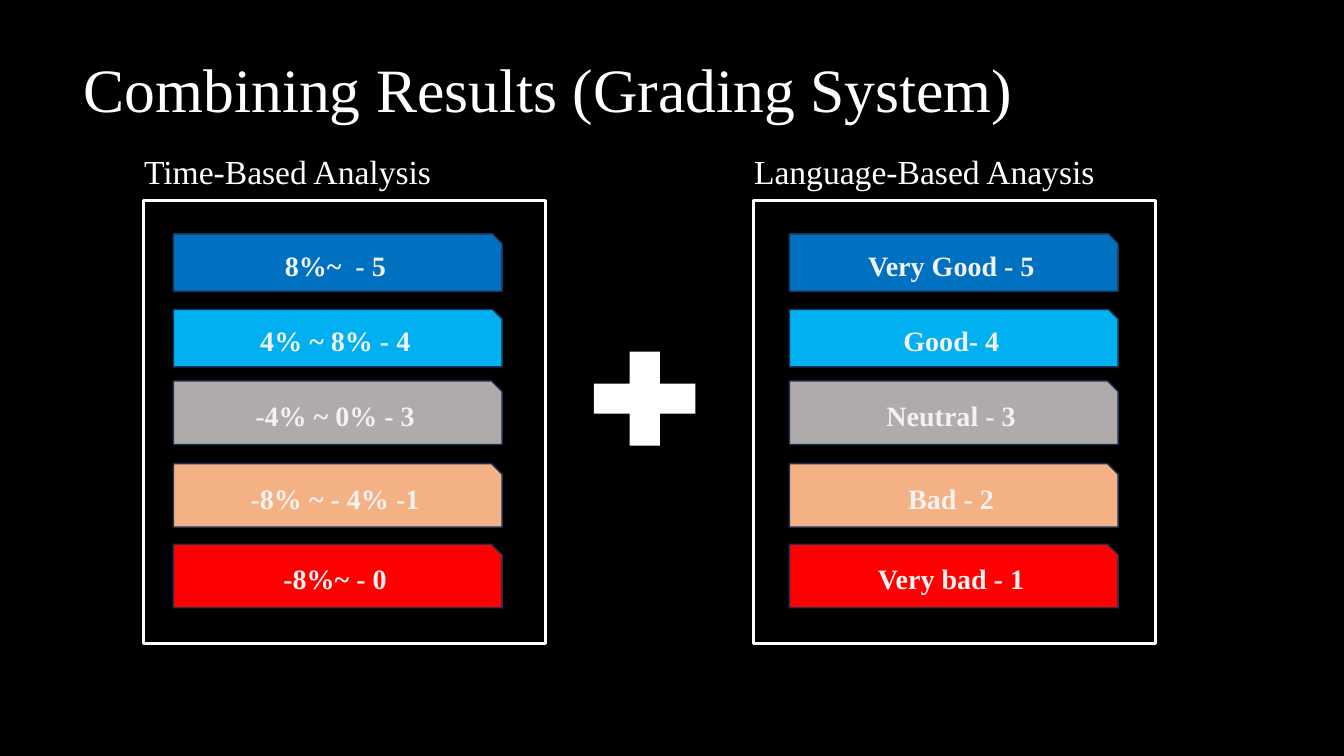
from dataclasses import dataclass

from pptx import Presentation
from pptx import util as u
from pptx.dml.color import RGBColor
from pptx.enum import shapes, text

# Content: each scale runs from the best grade to the worst
TITLE = "Combining Results (Grading System)"
SCALES = [
    ("Time-Based Analysis",
     ["8%~  - 5", "4% ~ 8% - 4", "-4% ~ 0% - 3", "-8% ~ - 4% -1", "-8%~ - 0"]),
    ("Language-Based Anaysis",
     ["Very Good - 5", "Good- 4", "Neutral - 3", "Bad - 2", "Very bad - 1"]),
]


@dataclass(frozen=True)
class Theme:
    font: str = "Times New Roman"
    background: str = "000000"
    light: str = "FFFFFF"
    grade_text: str = "F2F2F2"
    grade_edge: str = "1E3256"
    grades: tuple = ("0070C0", "00B0F0", "AFABAB", "F4B183", "FF0000")
    title_size: int = 44
    heading_size: int = 24
    grade_size: int = 20


THEME = Theme()

# Grid, in inches: one column per scale, one row per grade
SLIDE_W, SLIDE_H = 13.33, 7.5
PANEL_LEFTS, PANEL_TOP, PANEL_W, PANEL_H = (1.42, 7.47), 1.99, 3.99, 4.39
GRADE_LEFTS, GRADE_W = (1.72, 7.83), 3.26
GRADE_ROWS = [(2.32, 0.57), (3.07, 0.57), (3.78, 0.63), (4.6, 0.63), (5.4, 0.63)]
HEADING_H, HEADING_MIDDLE = 0.5, 1.72
PLUS_W, PLUS_H = 1.37, 1.27


def color(code):
    return RGBColor.from_string(code)


def box(left, top, width, height):
    return [u.Inches(v) for v in (left, top, width, height)]


def write(frame, words, size, ink, align=text.PP_ALIGN.LEFT, bold=False, spacing=0.9):
    frame.word_wrap = True
    frame.auto_size = text.MSO_AUTO_SIZE.NONE
    frame.vertical_anchor = text.MSO_ANCHOR.MIDDLE
    line = frame.paragraphs[0]
    line.text = words
    line.alignment = align
    line.line_spacing = spacing
    line.font.name, line.font.size, line.font.bold = THEME.font, u.Pt(size), bold
    line.font.color.rgb = color(ink)


def add_figure(slide, preset, place, fill=None, edge=None, edge_width=1):
    figure = slide.shapes.add_shape(preset, *box(*place))
    figure.shadow.inherit = False
    if fill:
        figure.fill.solid()
        figure.fill.fore_color.rgb = color(fill)
    else:
        figure.fill.background()
    if edge:
        figure.line.color.rgb = color(edge)
        figure.line.width = u.Pt(edge_width)
    else:
        figure.line.fill.background()
    return figure


def add_scale(slide, heading, grades, panel_left, grade_left):
    # Framed panel
    add_figure(slide, shapes.MSO_SHAPE.RECTANGLE,
               (panel_left, PANEL_TOP, PANEL_W, PANEL_H), edge=THEME.light, edge_width=2.25)

    # Heading, its text lined up with the frame
    label = slide.shapes.add_textbox(
        *box(panel_left - 0.09, HEADING_MIDDLE - HEADING_H / 2, PANEL_W, HEADING_H))
    write(label.text_frame, heading, THEME.heading_size, THEME.light)

    # Grade bars
    for grade, fill, (top, height) in zip(grades, THEME.grades, GRADE_ROWS):
        bar = add_figure(slide, shapes.MSO_SHAPE.SNIP_1_RECTANGLE,
                         (grade_left, top, GRADE_W, height), fill, THEME.grade_edge)
        write(bar.text_frame, grade, THEME.grade_size, THEME.grade_text,
              text.PP_ALIGN.CENTER, bold=True, spacing=1.0)


def main():
    deck = Presentation()
    deck.slide_width, deck.slide_height = u.Inches(SLIDE_W), u.Inches(SLIDE_H)
    slide = deck.slides.add_slide(deck.slide_layouts.get_by_name("Title Only"))
    slide.background.fill.solid()
    slide.background.fill.fore_color.rgb = color(THEME.background)

    # Title
    title = slide.shapes.title
    title.left, title.top, title.width, title.height = box(0.73, 0.19, 11.5, 1.45)
    write(title.text_frame, TITLE, THEME.title_size, THEME.light)

    # Both scales
    for (heading, grades), panel_left, grade_left in zip(SCALES, PANEL_LEFTS, GRADE_LEFTS):
        add_scale(slide, heading, grades, panel_left, grade_left)

    # Plus sign between the panels
    add_figure(slide, shapes.MSO_SHAPE.MATH_PLUS, (5.71, 3.32, PLUS_W, PLUS_H), THEME.light)

    deck.save("out.pptx")


if __name__ == "__main__":
    main()
